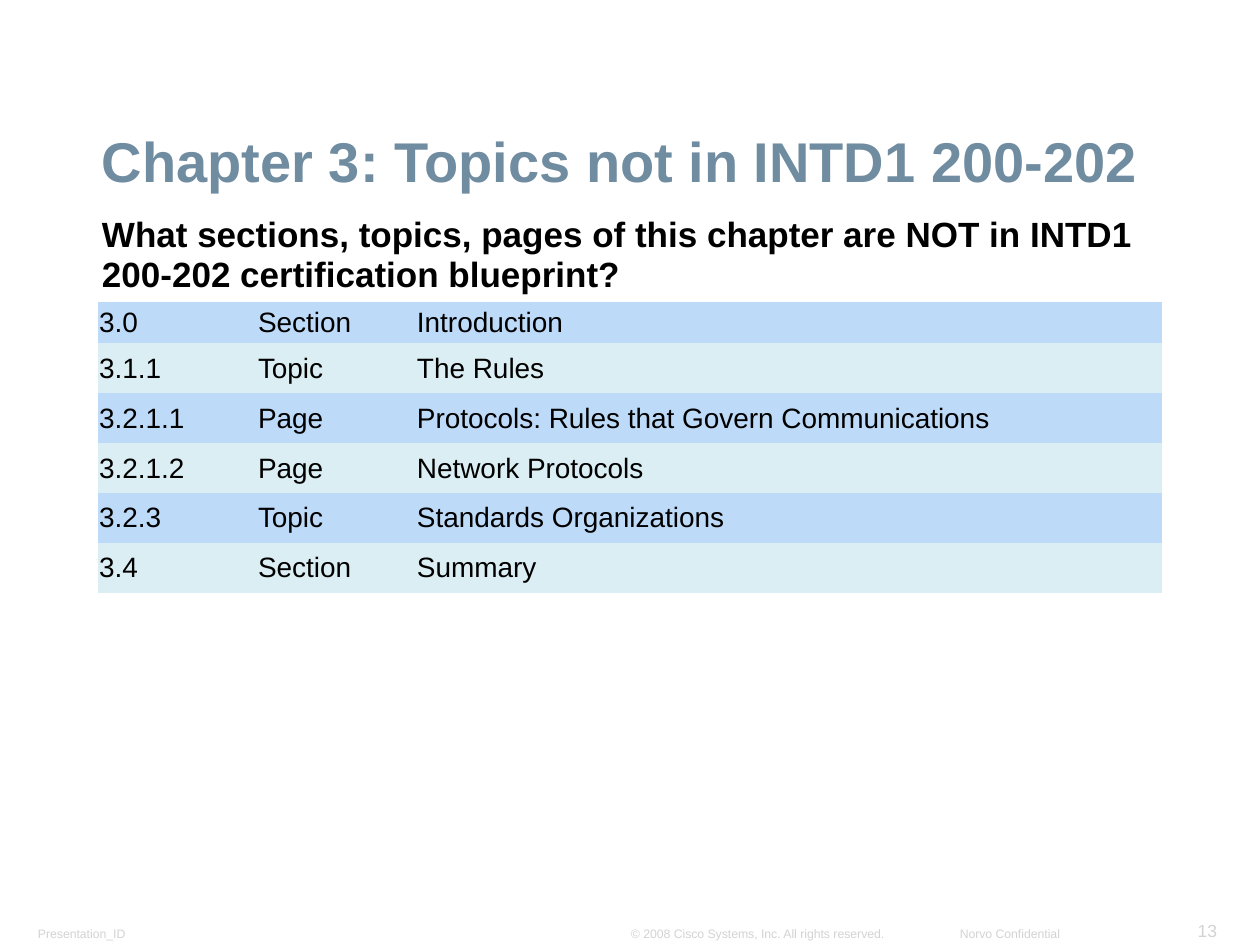
from dataclasses import dataclass

from pptx import Presentation
from pptx.dml.color import RGBColor
from pptx.enum.text import MSO_ANCHOR, PP_ALIGN
from pptx.util import Pt

TOP, MID, LOW = MSO_ANCHOR.TOP, MSO_ANCHOR.MIDDLE, MSO_ANCHOR.BOTTOM
LEFT, RIGHT = PP_ALIGN.LEFT, PP_ALIGN.RIGHT
SCALE = 914400 / 126
FONT = "Arial"
PLAIN = "{2D5ABB26-0587-4C30-8999-92F81FD0307C}"
COLORS = {
    "title": "708CA1",
    "text": "000000",
    "foot": "D3D3D3",
    "odd": "BDDAF8",
    "even": "DBEEF3",
}


@dataclass
class Box:
    text: str
    x: int
    y: int
    w: int
    h: int
    size: int
    color: str = "foot"
    bold: bool = False
    anchor: MSO_ANCHOR = LOW
    align: PP_ALIGN = LEFT
    line: float = 1.0
    wrap: bool = True


BOXES = [
    Box("Presentation_ID", 27, 920, 132, 26, 7),
    Box("13", 1184, 914, 44, 32, 10, align=RIGHT, wrap=False),
    Box("© 2008 Cisco Systems, Inc. All rights reserved.", 620, 920, 278, 26, 7, wrap=False),
    Box("Norvo Confidential", 941, 920, 130, 26, 7, align=RIGHT, wrap=False),
    Box("Chapter 3: Topics not in INTD1 200-202", 91, 84, 1123, 116, 32,
        color="title", bold=True, line=0.9),
    Box("What sections, topics, pages of this chapter are NOT in INTD1 "
        "200-202 certification blueprint?", 91, 211, 1094, 68, 20,
        color="text", bold=True, anchor=TOP, line=0.95),
]
COLS = [159, 159, 746]
HEAD, ROW = 41, 50
TOPICS = [
    ("3.0", "Section", "Introduction"),
    ("3.1.1", "Topic", "The Rules"),
    ("3.2.1.1", "Page", "Protocols: Rules that Govern Communications"),
    ("3.2.1.2", "Page", "Network Protocols"),
    ("3.2.3", "Topic", "Standards Organizations"),
    ("3.4", "Section", "Summary"),
]


def px(num: int) -> int:
    return round(num * SCALE)


def rgb(color: str) -> RGBColor:
    return RGBColor.from_string(COLORS[color])


def write(frame, text: str, *, size: int, color: str, bold: bool = False,
          align: PP_ALIGN = LEFT, line: float = 1.0) -> None:
    para = frame.paragraphs[0]
    para.alignment = align
    para.line_spacing = line
    run = para.add_run()
    run.text = text
    font = run.font
    font.name, font.size, font.bold = FONT, Pt(size), bold
    font.color.rgb = rgb(color)


def inset(item, side: int, top: int, base: int) -> None:
    item.margin_left = item.margin_right = px(side)
    item.margin_top, item.margin_bottom = px(top), px(base)


def draw_box(slide, box: Box) -> None:
    shape = slide.shapes.add_textbox(px(box.x), px(box.y), px(box.w), px(box.h))
    frame = shape.text_frame
    frame.word_wrap = box.wrap
    frame.vertical_anchor = box.anchor
    inset(frame, 11, 5, 5)
    write(frame, box.text, size=box.size, color=box.color, bold=box.bold,
          align=box.align, line=box.line)


def draw_table(slide, x: int, y: int) -> None:
    highs = [HEAD] + [ROW] * (len(TOPICS) - 1)
    shape = slide.shapes.add_table(len(TOPICS), len(COLS), px(x), px(y),
                                   px(sum(COLS)), px(sum(highs)))
    table = shape.table
    table.first_row = table.horz_banding = False
    table._tbl.tblPr[0].text = PLAIN
    for col, wide in zip(table.columns, COLS):
        col.width = px(wide)
    for i, (row, high, texts) in enumerate(zip(table.rows, highs, TOPICS)):
        row.height = px(high)
        for cell, text in zip(row.cells, texts):
            cell.fill.solid()
            cell.fill.fore_color.rgb = rgb("even" if i % 2 else "odd")
            cell.vertical_anchor = MID
            inset(cell, 1, 1, 0)
            write(cell.text_frame, text, size=16, color="text")


def main() -> None:
    deck = Presentation()
    deck.slide_width, deck.slide_height = px(1260), px(945)
    slide = deck.slides.add_slide(deck.slide_layouts[6])
    for box in BOXES:
        draw_box(slide, box)
    draw_table(slide, 98, 302)
    deck.save("out.pptx")


if __name__ == "__main__":
    main()
